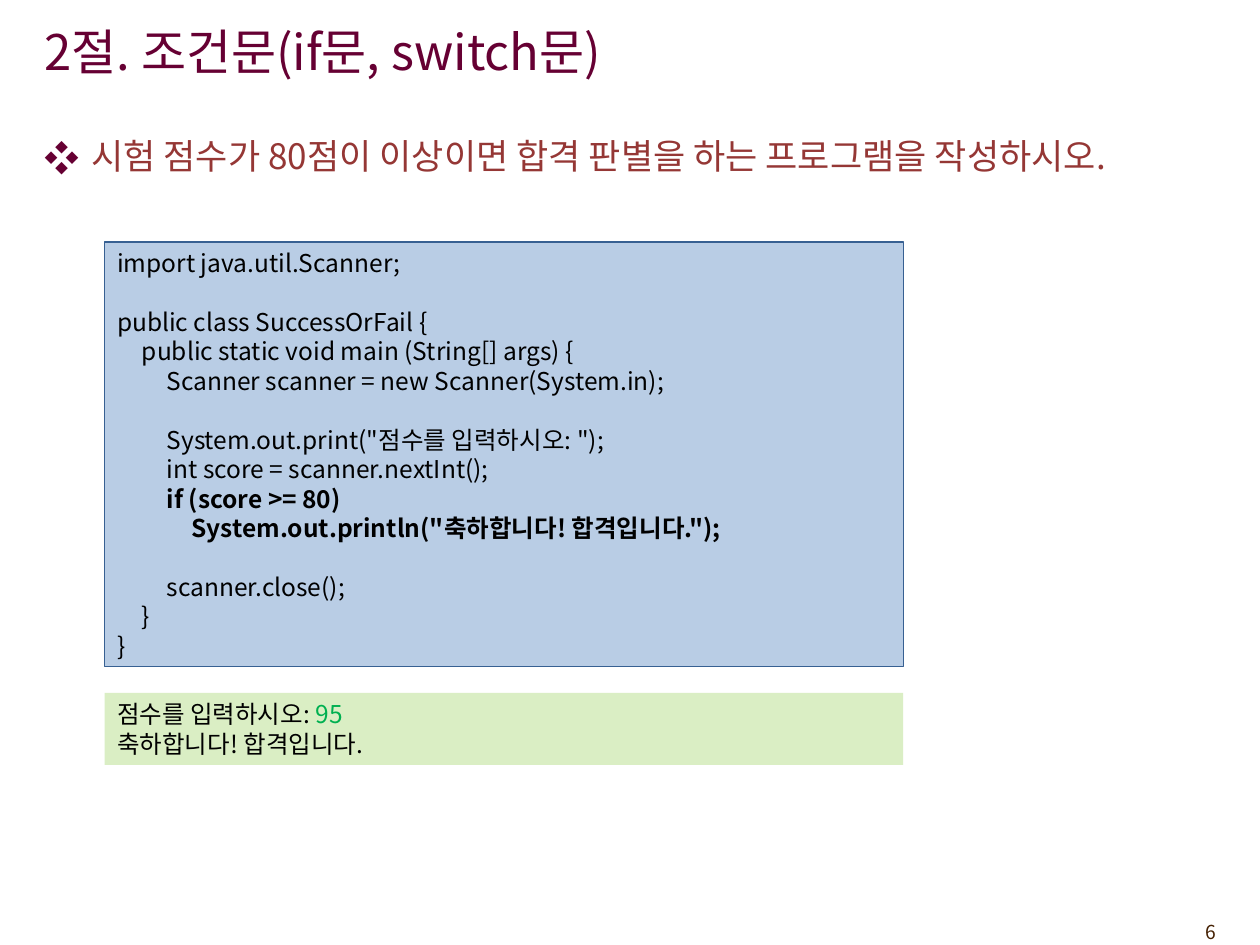
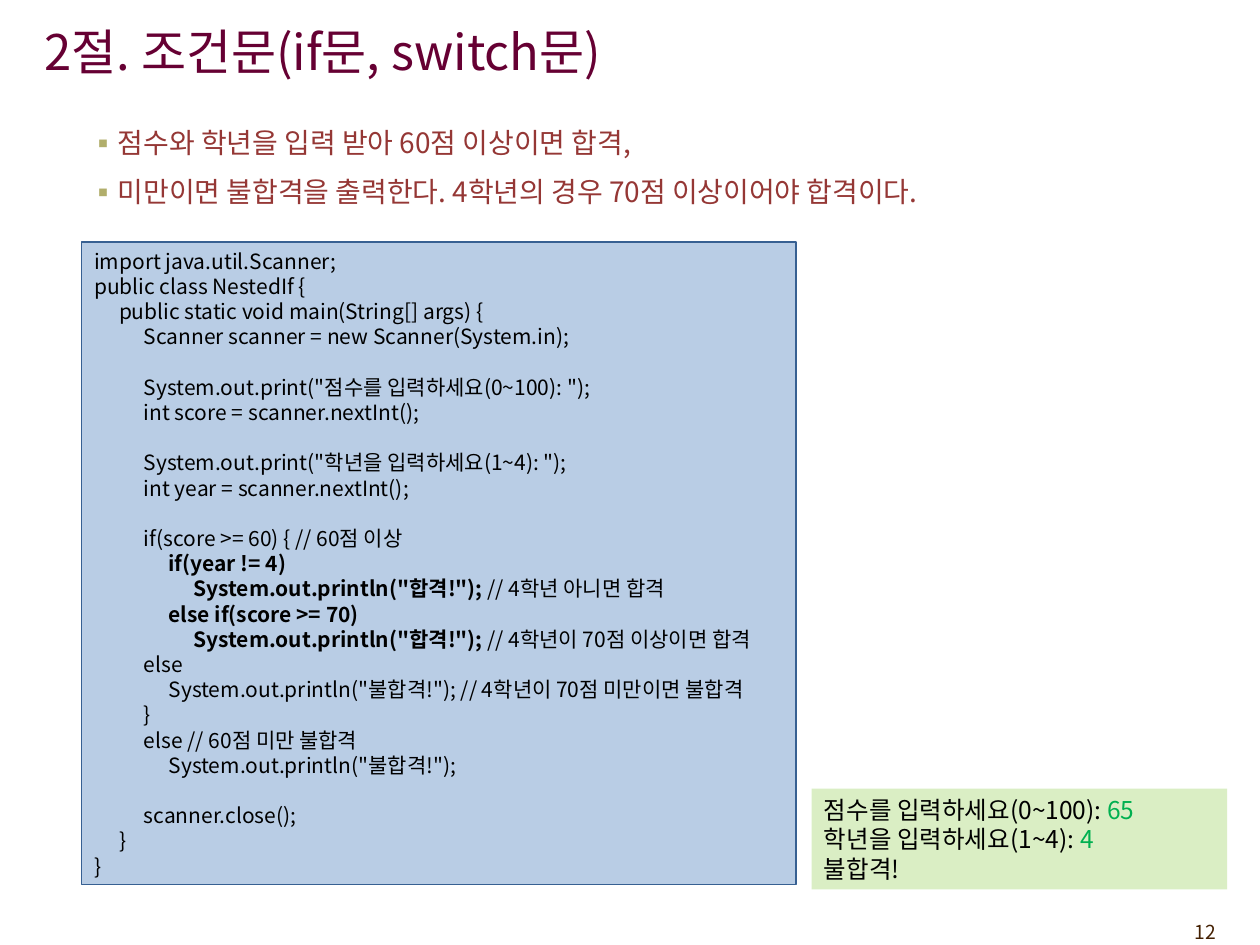
from dataclasses import dataclass
from typing import Any

from lxml.etree import SubElement
from pptx import Presentation
from pptx.dml.color import RGBColor
from pptx.enum.shapes import MSO_SHAPE
from pptx.enum.text import MSO_ANCHOR, MSO_AUTO_SIZE, PP_ALIGN
from pptx.oxml.ns import qn
from pptx.util import Cm, Pt

FONT = "Noto Sans CJK KR"
BLACK = RGBColor(0x00, 0x00, 0x00)
PLUM = RGBColor(0x66, 0x00, 0x33)
BRICK = RGBColor(0x95, 0x37, 0x35)
OLIVE = RGBColor(0xB1, 0xAE, 0x6B)
BROWN = RGBColor(0x45, 0x21, 0x03)
CODE_FILL = RGBColor(0xB9, 0xCD, 0xE5)
CODE_LINE = RGBColor(0x37, 0x60, 0x92)
OUTPUT_FILL = RGBColor(0xDA, 0xEE, 0xC4)
INPUT_GREEN = RGBColor(0x00, 0xB0, 0x50)

TITLE = "2절. 조건문(if문, switch문)"
LINE_HEIGHT = 1.2
INDENT = "    "
TAB_STEP = Cm(0.5)
TAB_COUNT = 7
MARK = "**"

Format = dict[str, Any]
Box = tuple[float, float, float, float]  # left, top, width, height in cm

TITLE_BOX: Box = (0.64, 0.23, 21.01, 1.6)
PAGE_NUMBER_BOX: Box = (22.66, 18.42, 2.11, 0.74)


@dataclass(frozen=True)
class BulletStyle:
    symbol: str
    color: RGBColor
    level: int
    size: int
    margin: float
    hanging: float
    line_scale: float
    before: int
    after: int


@dataclass(frozen=True)
class Panel:
    """A filled rectangle of lines; text between ** marks takes the emphasis."""
    box: Box
    lines: list[str]
    size: int
    fill: RGBColor
    emphasis: Format
    outline: RGBColor | None = None


@dataclass(frozen=True)
class Lesson:
    page: int
    task_box: Box
    task_style: BulletStyle
    tasks: list[str]
    panels: list[Panel]


def code_panel(box: Box, size: int, lines: list[str]) -> Panel:
    return Panel(box, lines, size, CODE_FILL, {"bold": True}, CODE_LINE)


def output_panel(box: Box, lines: list[str]) -> Panel:
    return Panel(box, lines, 14, OUTPUT_FILL, {"color": INPUT_GREEN})


MAIN_TASK = BulletStyle("❖", PLUM, 0, 20, 0.95, 0.95, 1.0, 5, 0)
SUB_TASK = BulletStyle("▪", OLIVE, 1, 16, 1.5, 0.5, 1.1, 4, 3)

LESSONS = [
    Lesson(
        6, (0.64, 2.59, 24.13, 15.88), MAIN_TASK,
        ["시험 점수가 80점이 이상이면 합격 판별을 하는 프로그램을 작성하시오."],
        [
            code_panel((2.11, 4.88, 16.1, 8.56), 14, [
                'import java.util.Scanner;',
                '',
                'public class SuccessOrFail {',
                '    public static void main (String[] args) {',
                '        Scanner scanner = new Scanner(System.in);',
                '',
                '        System.out.print("점수를 입력하시오: ");',
                '        int score = scanner.nextInt();',
                '        **if (score >= 80)**',
                '            **System.out.println("축하합니다! 합격입니다.");**',
                '',
                '        scanner.close();',
                '    }',
                '}',
            ]),
            output_panel((2.11, 13.97, 16.1, 1.45), [
                "점수를 입력하시오: **95**",
                "축하합니다! 합격입니다.",
            ]),
        ],
    ),
    Lesson(
        12, (0.56, 2.34, 24.13, 15.88), SUB_TASK,
        ["점수와 학년을 입력 받아 60점 이상이면 합격,",
         "미만이면 불합격을 출력한다. 4학년의 경우 70점 이상이어야 합격이다."],
        [
            code_panel((1.65, 4.88, 14.4, 12.95), 12, [
                'import java.util.Scanner;',
                'public class NestedIf {',
                '    public static void main(String[] args) {',
                '        Scanner scanner = new Scanner(System.in);',
                '',
                '        System.out.print("점수를 입력하세요(0~100): ");',
                '        int score = scanner.nextInt();',
                '',
                '        System.out.print("학년을 입력하세요(1~4): ");',
                '        int year = scanner.nextInt();',
                '',
                '        if(score >= 60) { // 60점 이상',
                '            **if(year != 4)**',
                '                **System.out.println("합격!"); **// 4학년 아니면 합격',
                '            **else if(score >= 70)**',
                '                **System.out.println("합격!"); **// 4학년이 70점 이상이면 합격',
                '        else',
                '            System.out.println("불합격!"); // 4학년이 70점 미만이면 불합격',
                '        }',
                '        else // 60점 미만 불합격',
                '            System.out.println("불합격!");',
                '',
                '        scanner.close();',
                '    }',
                '}',
            ]),
            output_panel((16.36, 15.9, 8.38, 2.03), [
                "점수를 입력하세요(0~100): **65**",
                "학년을 입력하세요(1~4): **4**",
                "불합격!",
            ]),
        ],
    ),
]


def place(shape, box: Box) -> None:
    shape.left, shape.top, shape.width, shape.height = map(Cm, box)


def add_run(paragraph, text: str, text_format: Format) -> None:
    run = paragraph.add_run()
    run.text = text
    for name, value in ({"name": FONT} | text_format).items():
        if name == "color":
            run.font.color.rgb = value
        else:
            setattr(run.font, name, value)
    SubElement(run.font._element, qn("a:ea"), typeface=FONT)


def set_frame(frame, **settings: Any) -> None:
    defaults = {"word_wrap": True, "auto_size": MSO_AUTO_SIZE.NONE,
                "vertical_anchor": MSO_ANCHOR.TOP}
    for name, value in (defaults | settings).items():
        setattr(frame, name, value)


def next_paragraph(frame, index: int):
    return frame.add_paragraph() if index else frame.paragraphs[0]


def add_bullet(paragraph, style: BulletStyle) -> None:
    properties = paragraph._p.get_or_add_pPr()
    properties.set("marL", str(Cm(style.margin)))
    properties.set("indent", str(-Cm(style.hanging)))
    color = SubElement(properties, qn("a:buClr"))
    SubElement(color, qn("a:srgbClr"), val=str(style.color))
    SubElement(properties, qn("a:buFont"), typeface=FONT)
    SubElement(properties, qn("a:buChar"), char=style.symbol)


def add_indent_tabs(paragraph) -> None:
    tabs = SubElement(paragraph._p.get_or_add_pPr(), qn("a:tabLst"))
    for step in range(1, TAB_COUNT + 1):
        SubElement(tabs, qn("a:tab"), pos=str(step * TAB_STEP), algn="l")


def fill_title(slide) -> None:
    title = slide.shapes.title
    place(title, TITLE_BOX)
    set_frame(title.text_frame, vertical_anchor=MSO_ANCHOR.MIDDLE)
    paragraph = title.text_frame.paragraphs[0]
    paragraph.alignment = PP_ALIGN.LEFT
    add_run(paragraph, TITLE, {"size": Pt(28), "color": PLUM})


def fill_tasks(slide, lesson: Lesson) -> None:
    body, style = slide.placeholders[1], lesson.task_style
    place(body, lesson.task_box)
    set_frame(body.text_frame)
    for index, task in enumerate(lesson.tasks):
        paragraph = next_paragraph(body.text_frame, index)
        paragraph.level = style.level
        add_bullet(paragraph, style)
        paragraph.line_spacing = Pt(style.size * LINE_HEIGHT * style.line_scale)
        paragraph.space_before = Pt(style.before if index else 0)
        paragraph.space_after = Pt(style.after)
        add_run(paragraph, task, {"size": Pt(style.size), "color": BRICK})


def add_panel(slide, panel: Panel) -> None:
    shape = slide.shapes.add_shape(MSO_SHAPE.RECTANGLE, *map(Cm, panel.box))
    shape.shadow.inherit = False
    shape.fill.solid()
    shape.fill.fore_color.rgb = panel.fill
    if panel.outline is None:
        shape.line.fill.background()
    else:
        shape.line.color.rgb = panel.outline
        shape.line.width = Pt(0.75)
    set_frame(shape.text_frame)
    plain: Format = {"size": Pt(panel.size), "color": BLACK, "bold": False}
    for index, line in enumerate(panel.lines):
        paragraph = next_paragraph(shape.text_frame, index)
        paragraph.alignment = PP_ALIGN.LEFT
        paragraph.line_spacing = Pt(panel.size * LINE_HEIGHT)
        add_indent_tabs(paragraph)
        for position, part in enumerate(line.replace(INDENT, "\t").split(MARK)):
            if part:
                add_run(paragraph, part, plain | (panel.emphasis if position % 2 else {}))


def add_page_number(slide, page: int) -> None:
    footer = slide.shapes.add_textbox(*map(Cm, PAGE_NUMBER_BOX))
    set_frame(footer.text_frame)
    paragraph = footer.text_frame.paragraphs[0]
    paragraph.alignment = PP_ALIGN.RIGHT
    add_run(paragraph, str(page), {"size": Pt(11), "color": BROWN})


def main() -> None:
    deck = Presentation()
    deck.slide_width, deck.slide_height = Cm(25.4), Cm(19.05)
    for lesson in LESSONS:
        slide = deck.slides.add_slide(deck.slide_layouts[1])
        fill_title(slide)
        fill_tasks(slide, lesson)
        for panel in lesson.panels:
            add_panel(slide, panel)
        add_page_number(slide, lesson.page)
    deck.save("out.pptx")


if __name__ == "__main__":
    main()
